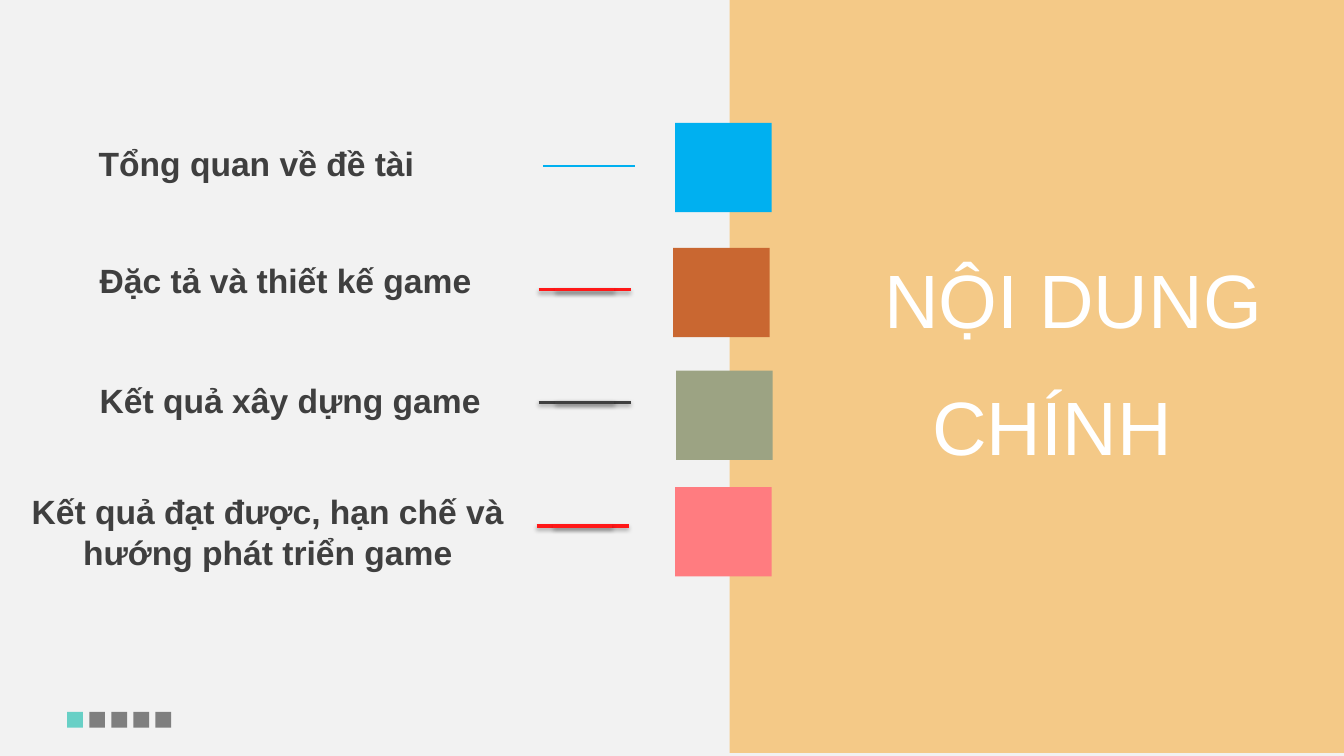
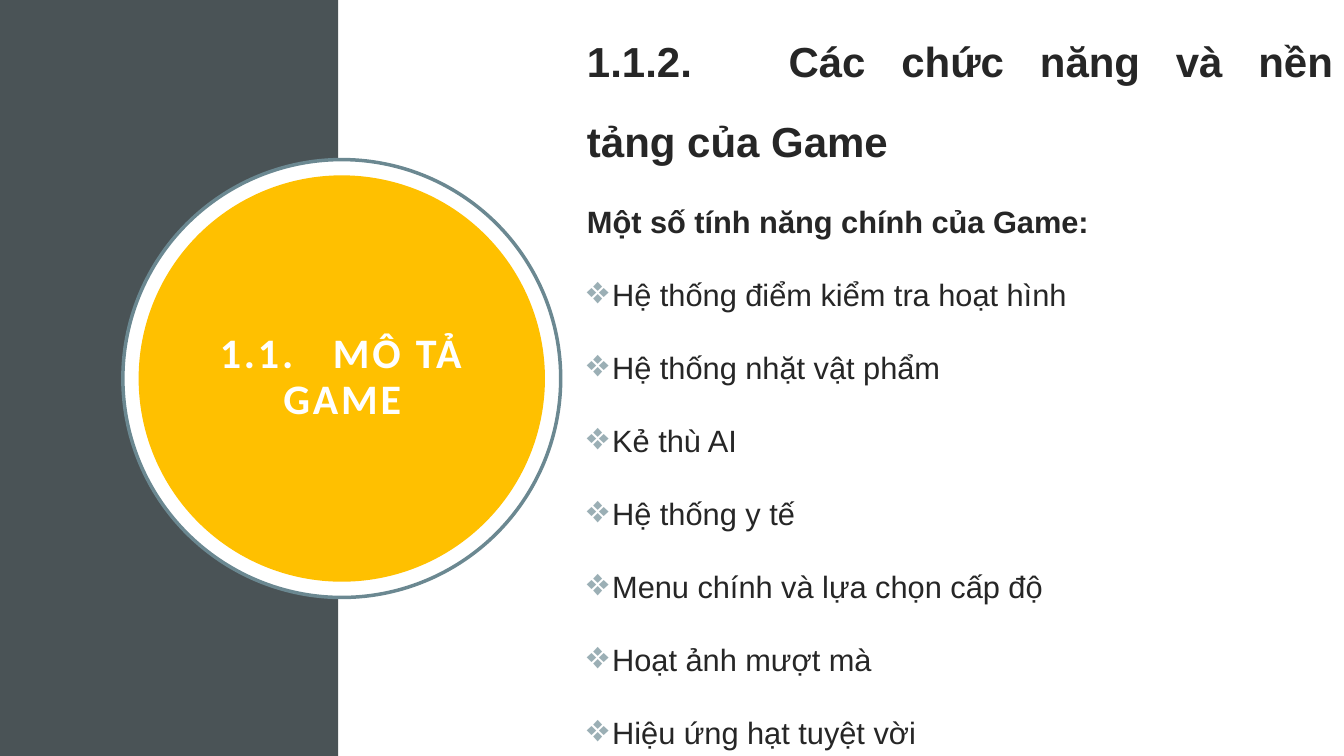
"""Build the contents slide and the game features slide of a game project talk."""
from dataclasses import dataclass

from lxml import etree
from pptx import Presentation
from pptx.dml.color import RGBColor
from pptx.enum.shapes import MSO_CONNECTOR, MSO_SHAPE
from pptx.enum.text import MSO_ANCHOR, MSO_AUTO_SIZE, PP_ALIGN
from pptx.oxml.ns import qn
from pptx.shapes.autoshape import Shape
from pptx.slide import Slide
from pptx.text.text import TextFrame
from pptx.util import Emu, Pt

RECTANGLE, OVAL = MSO_SHAPE.RECTANGLE, MSO_SHAPE.OVAL
STRAIGHT = MSO_CONNECTOR.STRAIGHT
LEFT, CENTER, RIGHT, JUSTIFY = PP_ALIGN.LEFT, PP_ALIGN.CENTER, PP_ALIGN.RIGHT, PP_ALIGN.JUSTIFY
TOP, MIDDLE = MSO_ANCHOR.TOP, MSO_ANCHOR.MIDDLE
NO_AUTOFIT = MSO_AUTO_SIZE.NONE

EMU_PER_PX = 9525
SLIDE_WIDTH, SLIDE_HEIGHT = 1280, 720
TITLE_ONLY = 5

WHITE, PALE, INK, BODY_INK = "FFFFFF", "F2F2F2", "3F3F3F", "262626"
SKY, RED, ORANGE, TEAL, GRAY = "00B0F0", "FF1818", "F6A21D", "68D0C6", "7F7F7F"
SLATE, RING, GOLD, BULLET = "4A5356", "6B8891", "FFC000", "9BAFB5"

BLOCK_WIDTH, BLOCK_HEIGHT = 92, 85
RULE_LENGTH, RULE_CORE = 88, 56
MARKER_SIZE, MARKER_PITCH, MARKER_COUNT = 15, 21, 5

FEATURES = (
    "Hệ thống điểm kiểm tra hoạt hình",
    "Hệ thống nhặt vật phẩm",
    "Kẻ thù AI",
    "Hệ thống y tế",
    "Menu chính và lựa chọn cấp độ",
    "Hoạt ảnh mượt mà",
    "Hiệu ứng hạt tuyệt vời",
)


@dataclass(frozen=True)
class Box:
    """A place on the slide in px."""
    left: int
    top: int
    width: int
    height: int


@dataclass(frozen=True)
class Topic:
    """A contents entry with its rule and coloured block."""
    label: str
    label_box: Box
    block_left: int
    block_top: int
    block_color: str
    rule_left: int
    rule_top: int
    rule_color: str
    shadowed: bool = True
    align: PP_ALIGN = LEFT


TOPICS = (
    Topic("Tổng quan về đề tài", Box(84, 131, 510, 48), 643, 117, SKY, 517, 158, SKY, shadowed=False),
    Topic("Đặc tả và thiết kế game", Box(85, 243, 388, 48), 641, 236, "C96731", 513, 276, RED),
    Topic("Kết quả xây dựng game", Box(85, 357, 510, 48), 644, 353, "9CA383", 513, 383, INK),
    Topic("Kết quả đạt được, hạn chế và hướng phát triển game", Box(0, 463, 510, 87),
          643, 464, "FF7C80", 511, 501, RED, align=CENTER),
)


def px(length: int) -> Emu:
    """Turn px into EMU."""
    return Emu(length * EMU_PER_PX)


def rgb(color: str) -> RGBColor:
    """Turn a hex string into a colour."""
    return RGBColor.from_string(color)


def add_panel(slide: Slide, box: Box, fill: str, kind: MSO_SHAPE = RECTANGLE,
              line: str = "", opacity: int = 100) -> None:
    """Add a flat preset shape."""
    panel = slide.shapes.add_shape(kind, px(box.left), px(box.top), px(box.width), px(box.height))
    panel.shadow.inherit = False
    panel.fill.solid()
    panel.fill.fore_color.rgb = rgb(fill)
    if opacity < 100:
        color = panel._element.spPr.find(f".//{qn('a:srgbClr')}")
        etree.SubElement(color, qn("a:alpha"), val=str(opacity * 1000))
    if line:
        panel.line.color.rgb = rgb(line)
        panel.line.width = Pt(2.5)
    else:
        panel.line.fill.background()


def add_rule(slide: Slide, left: int, top: int, length: int, color: str, shadowed: bool) -> None:
    """Add a horizontal line, with a soft shadow if wanted."""
    rule = slide.shapes.add_connector(STRAIGHT, px(left), px(top), px(left + length), px(top))
    rule.line.color.rgb = rgb(color)
    rule.line.width = Pt(2.25 if shadowed else 1.5)
    effects = etree.SubElement(rule._element.spPr, qn("a:effectLst"))
    if shadowed:
        shadow = etree.SubElement(effects, qn("a:outerShdw"), blurRad=str(Pt(3.1)),
                                  dist=str(Pt(1.8)), dir="5400000", rotWithShape="0")
        tint = etree.SubElement(shadow, qn("a:srgbClr"), val="000000")
        etree.SubElement(tint, qn("a:alpha"), val="35000")


def prepare(frame: TextFrame, anchor: MSO_ANCHOR = TOP, side: int = 10, edge: int = 5) -> TextFrame:
    """Set wrapping, anchor and insets of a text frame."""
    frame.word_wrap = True
    frame.auto_size = NO_AUTOFIT
    frame.vertical_anchor = anchor
    frame.margin_left = frame.margin_right = px(side)
    frame.margin_top = frame.margin_bottom = px(edge)
    return frame


def add_text_box(slide: Slide, box: Box, anchor: MSO_ANCHOR = TOP) -> TextFrame:
    """Add an empty text box."""
    area = slide.shapes.add_textbox(px(box.left), px(box.top), px(box.width), px(box.height))
    return prepare(area.text_frame, anchor)


def place_title(slide: Slide, box: Box) -> Shape:
    """Move the title to its box, in front of what is drawn so far."""
    title = slide.shapes.title
    title.left, title.top = px(box.left), px(box.top)
    title.width, title.height = px(box.width), px(box.height)
    slide.shapes._spTree.append(title._element)
    return title


def write(frame: TextFrame, text: str, *, size: int, color: str, font: str = "Arial",
          bold: bool = False, align: PP_ALIGN = LEFT, spacing: float = 1.0,
          before: int = 0, tracking: int = 0, bullet: str = "", tab: int = 0) -> None:
    """Write a paragraph into a frame, using its first one if empty."""
    paragraph = frame.add_paragraph() if frame.text else frame.paragraphs[0]
    paragraph.alignment = align
    paragraph.line_spacing = spacing
    paragraph.space_before = Pt(before)
    settings = paragraph._p.get_or_add_pPr()
    if bullet:
        settings.set("marL", str(px(24)))
        settings.set("indent", str(px(-24)))
        tint = etree.SubElement(settings, qn("a:buClr"))
        etree.SubElement(tint, qn("a:srgbClr"), val=BULLET)
        etree.SubElement(settings, qn("a:buSzPct"), val="125000")
        etree.SubElement(settings, qn("a:buChar"), char=bullet)
    if tab:
        stops = etree.SubElement(settings, qn("a:tabLst"))
        etree.SubElement(stops, qn("a:tab"), pos=str(px(tab)), algn="l")
    run = paragraph.add_run()
    run.text = text
    run.font.name, run.font.size, run.font.bold = font, Pt(size), bold
    run.font.color.rgb = rgb(color)
    if tracking:
        run._r.get_or_add_rPr().set("spc", str(tracking * 100))


def add_slide(deck: Presentation, background: str) -> Slide:
    """Add a title-only slide with a plain background."""
    slide = deck.slides.add_slide(deck.slide_layouts[TITLE_ONLY])
    slide.background.fill.solid()
    slide.background.fill.fore_color.rgb = rgb(background)
    return slide


def add_topic(slide: Slide, topic: Topic) -> None:
    """Draw a contents entry."""
    add_panel(slide, Box(topic.block_left, topic.block_top, BLOCK_WIDTH, BLOCK_HEIGHT),
              topic.block_color)
    for length in (RULE_LENGTH, RULE_CORE):
        inset = (RULE_LENGTH - length) // 2
        add_rule(slide, topic.rule_left + inset, topic.rule_top, length,
                 topic.rule_color, topic.shadowed)
    write(add_text_box(slide, topic.label_box), topic.label, size=24, color=INK,
          bold=True, align=topic.align)


def build_contents(deck: Presentation) -> None:
    """Build the contents slide."""
    slide = add_slide(deck, PALE)
    add_panel(slide, Box(695, -3, 585, 720), ORANGE, opacity=50)
    heading = prepare(place_title(slide, Box(572, 236, 640, 97)).text_frame)
    heading_end = add_text_box(slide, Box(486, 357, 640, 97))
    for frame, words in ((heading, "NỘI DUNG"), (heading_end, "CHÍNH")):
        write(frame, words, size=54, color=WHITE, align=RIGHT)
    for topic in TOPICS:
        add_topic(slide, topic)
    for index in range(MARKER_COUNT):
        add_panel(slide, Box(64 + index * MARKER_PITCH, 678, MARKER_SIZE, MARKER_SIZE),
                  GRAY if index else TEAL)


def build_features(deck: Presentation) -> None:
    """Build the game features slide."""
    slide = add_slide(deck, WHITE)
    add_panel(slide, Box(0, 0, 322, SLIDE_HEIGHT), SLATE)
    add_panel(slide, Box(117, 152, 417, 417), WHITE, OVAL, line=RING)
    add_panel(slide, Box(132, 167, 387, 387), GOLD, OVAL)
    section = place_title(slide, Box(189, 223, 274, 274))
    write(prepare(section.text_frame, MIDDLE, side=19, edge=19), "1.1.\t MÔ TẢ GAME", size=30,
          color=WHITE, font="Calibri", bold=True, align=CENTER, spacing=0.9, tracking=2, tab=96)
    body = add_text_box(slide, Box(549, 0, 731, SLIDE_HEIGHT), MIDDLE)
    shared = {"color": BODY_INK, "align": JUSTIFY, "spacing": 1.6}
    write(body, "1.1.2.\tCác chức năng và nền tảng của Game", size=30, bold=True, tab=192, **shared)
    write(body, "Một số tính năng chính của Game:", size=22, bold=True, before=10, **shared)
    for feature in FEATURES:
        write(body, feature, size=22, before=10, bullet="❖", **shared)


def main() -> None:
    """Build and save the deck."""
    deck = Presentation()
    deck.slide_width, deck.slide_height = px(SLIDE_WIDTH), px(SLIDE_HEIGHT)
    build_contents(deck)
    build_features(deck)
    deck.save("out.pptx")


if __name__ == "__main__":
    main()
